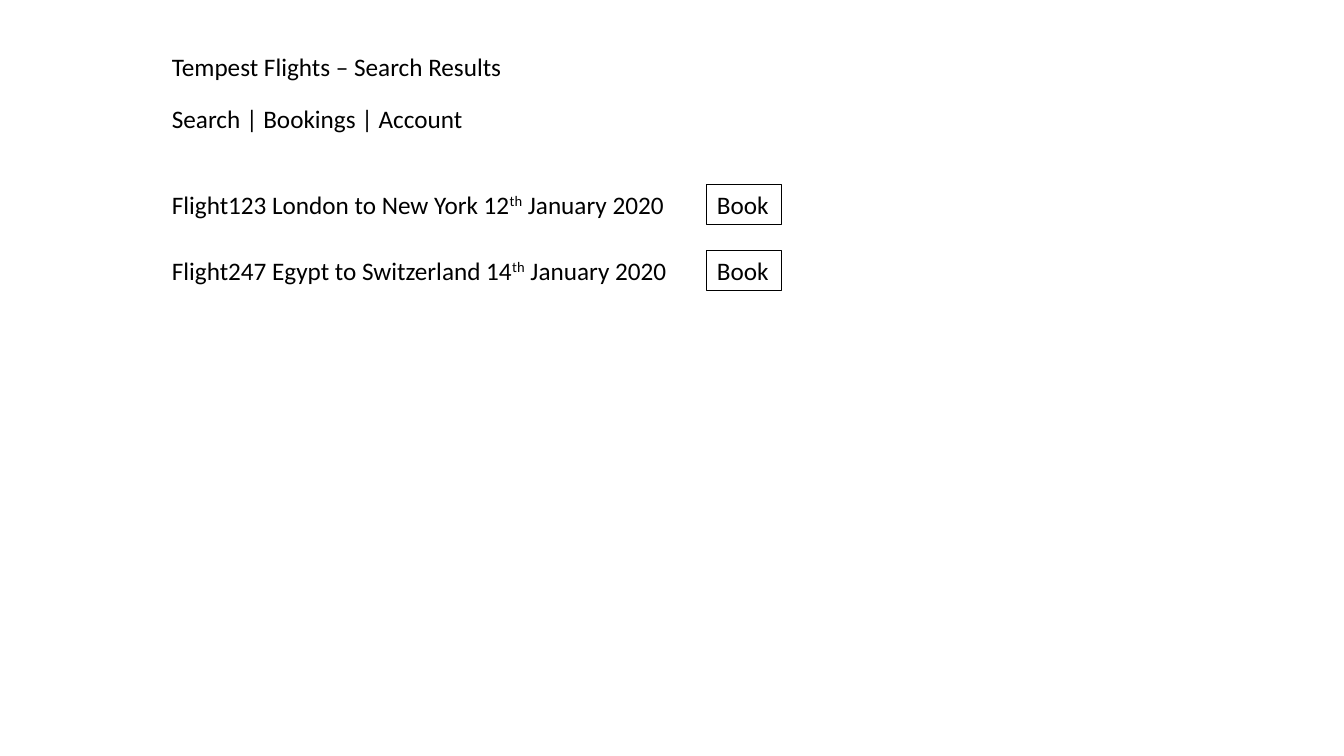
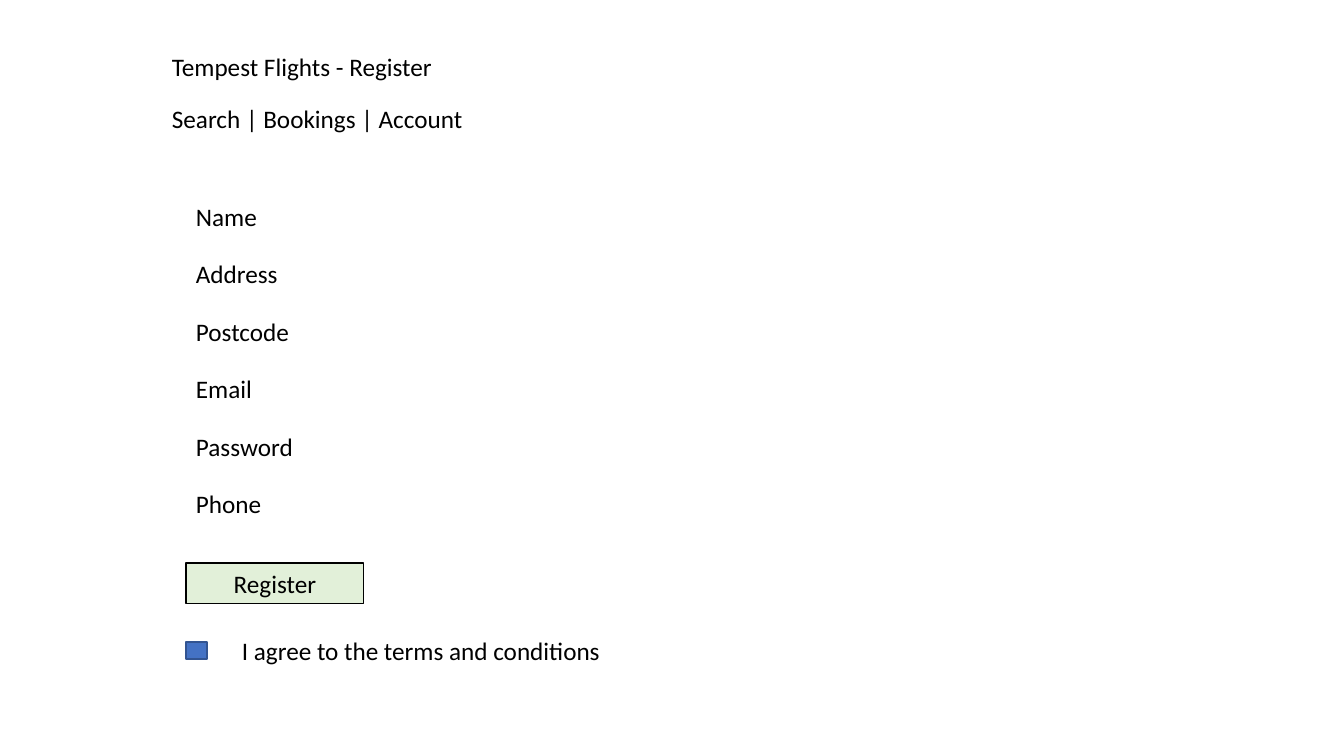
from dataclasses import dataclass
from typing import Optional

from pptx import Presentation
from pptx.dml.color import RGBColor as RGB
from pptx.enum.shapes import MSO_SHAPE as SHAPE
from pptx.enum.text import MSO_ANCHOR as ANCHOR, MSO_AUTO_SIZE as AUTO, PP_ALIGN as ALIGN
from pptx.util import Emu, Pt

EMU_PER_PX = 914400 / 100.8


@dataclass(frozen=True)
class Theme:
    font: str = "Calibri"
    size: float = 18
    raised: int = 30
    ink: str = "000000"
    button_fill: str = "E2F0D9"
    check_fill: str = "4472C4"
    check_line: str = "325491"
    button_border: float = 0.75
    check_border: float = 1


@dataclass(frozen=True)
class Box:
    x: int
    y: int
    w: int
    h: int = 41

    def emu(self) -> tuple:
        return tuple(px(v) for v in (self.x, self.y, self.w, self.h))


@dataclass(frozen=True)
class Flight:
    route: str
    day: str
    suffix: str
    month: str


@dataclass(frozen=True)
class Field:
    label: str
    width: int


THEME = Theme()
MARGIN = 162
FORM_LEFT = 186
FLIGHT_TOP, FLIGHT_PITCH = 184, 66
FIELD_TOP, FIELD_PITCH = 196, 57.4

FLIGHTS = (
    Flight("Flight123 London to New York", "12", "th", "January 2020"),
    Flight("Flight247 Egypt to Switzerland", "14", "th", "January 2020"),
)
FIELDS = (
    Field("Name", 94),
    Field("Address", 137),
    Field("Postcode", 114),
    Field("Email", 78),
    Field("Password", 118),
    Field("Phone", 90),
)


def px(value: float) -> Emu:
    return Emu(round(value * EMU_PER_PX))


def style_text(tf) -> None:
    tf.word_wrap = True
    tf.auto_size = AUTO.SHAPE_TO_FIT_TEXT
    tf.vertical_anchor = ANCHOR.TOP
    for p in tf.paragraphs:
        for r in p.runs:
            r.font.name = THEME.font
            r.font.size = Pt(THEME.size)
            r.font.color.rgb = RGB.from_string(THEME.ink)


def add_label(s, box: Box, text: str) -> None:
    tf = s.shapes.add_textbox(*box.emu()).text_frame
    tf.text = text
    style_text(tf)


def add_rect(s, box: Box, fill: Optional[str], line: str, border: float):
    sp = s.shapes.add_shape(SHAPE.RECTANGLE, *box.emu())
    sp.shadow.inherit = False
    if fill:
        sp.fill.solid()
        sp.fill.fore_color.rgb = RGB.from_string(fill)
    else:
        sp.fill.background()
    sp.line.color.rgb = RGB.from_string(line)
    sp.line.width = Pt(border)
    return sp


def add_button(s, box: Box, text: str, align: ALIGN, fill: Optional[str] = None) -> None:
    tf = add_rect(s, box, fill, THEME.ink, THEME.button_border).text_frame
    tf.text = text
    tf.paragraphs[0].alignment = align
    style_text(tf)


def add_flight(s, y: int, flight: Flight) -> None:
    tf = s.shapes.add_textbox(*Box(MARGIN, y, 524).emu()).text_frame
    p = tf.paragraphs[0]
    for text in (f"{flight.route} {flight.day}", flight.suffix, f" {flight.month}"):
        p.add_run().text = text
    style_text(tf)
    p.runs[1].font._element.set("baseline", str(THEME.raised * 1000))
    add_button(s, Box(707, y, 75), "Book", ALIGN.LEFT)


def add_page(prs, title: str, title_width: int):
    s = prs.slides.add_slide(prs.slide_layouts[6])
    add_label(s, Box(MARGIN, 46, title_width), title)
    add_label(s, Box(MARGIN, 98, 330), "Search | Bookings | Account")
    return s


def build_results(prs) -> None:
    s = add_page(prs, "Tempest Flights – Search Results", 402)
    for i, flight in enumerate(FLIGHTS):
        add_flight(s, FLIGHT_TOP + i * FLIGHT_PITCH, flight)


def build_register(prs) -> None:
    s = add_page(prs, "Tempest Flights - Register", 292)
    for i, field in enumerate(FIELDS):
        y = round(FIELD_TOP + i * FIELD_PITCH)
        add_label(s, Box(FORM_LEFT, y, field.width), field.label)
    add_button(s, Box(FORM_LEFT, 563, 178), "Register", ALIGN.CENTER, THEME.button_fill)
    add_rect(s, Box(FORM_LEFT, 642, 21, 17), THEME.check_fill, THEME.check_line, THEME.check_border)
    add_label(s, Box(232, 630, 383), "I agree to the terms and conditions")


def main() -> None:
    prs = Presentation()
    prs.slide_width, prs.slide_height = px(1344), px(756)
    build_results(prs)
    build_register(prs)
    prs.save("out.pptx")


main()
